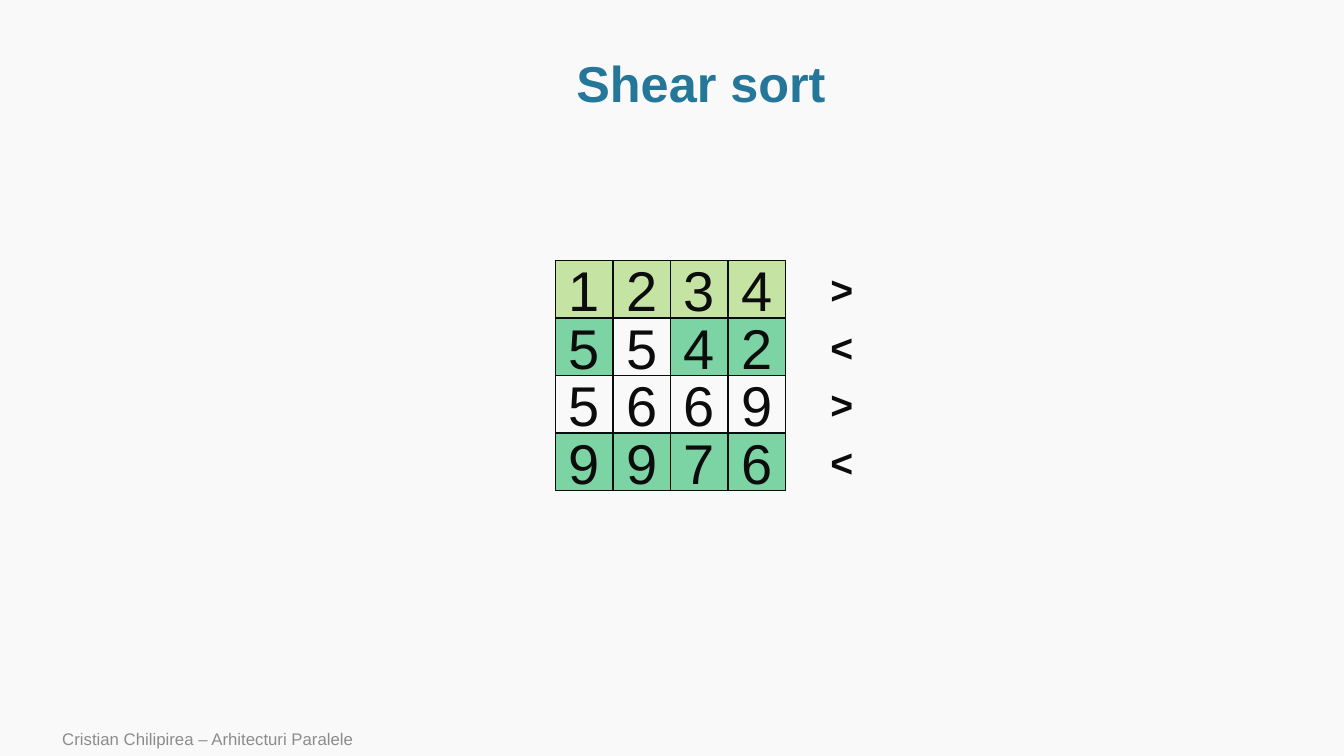
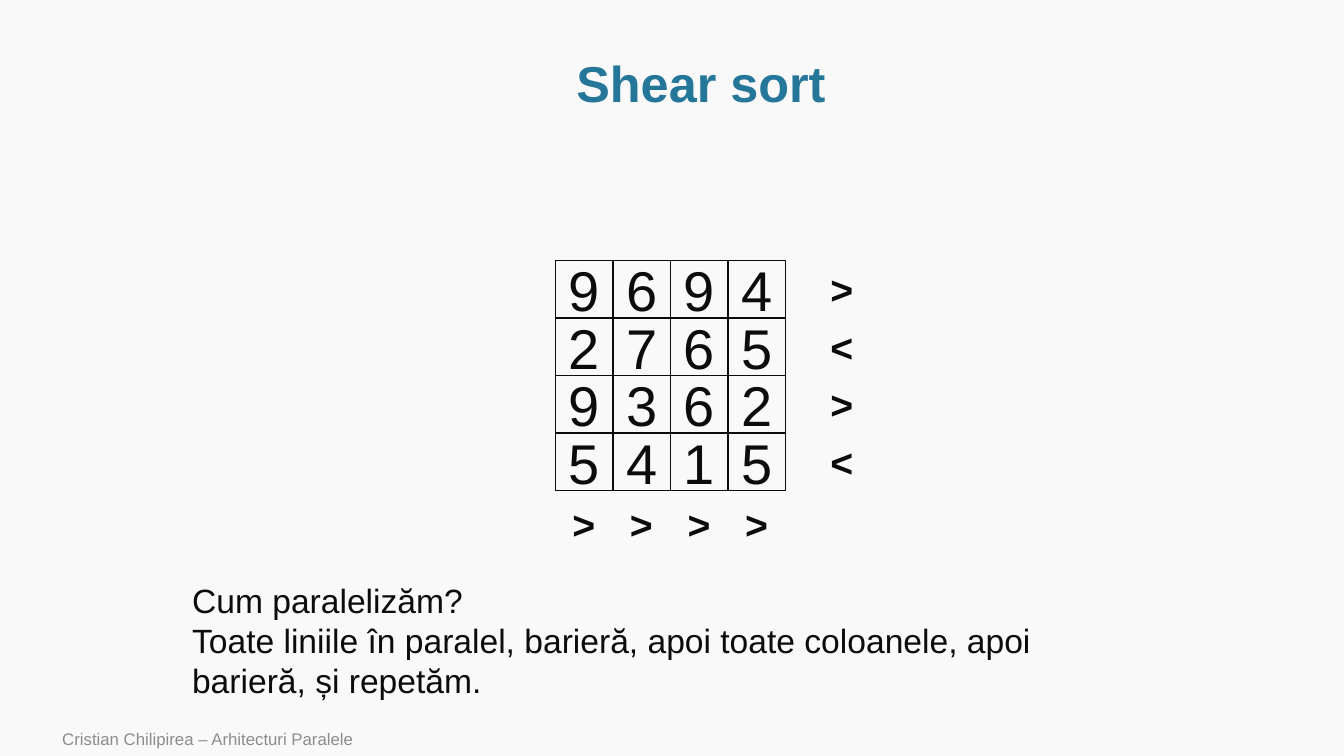
from dataclasses import dataclass

from lxml.etree import SubElement
from pptx import Presentation
from pptx.dml.color import RGBColor
from pptx.enum.shapes import MSO_SHAPE
from pptx.enum.text import MSO_ANCHOR, PP_ALIGN
from pptx.oxml.ns import qn
from pptx.slide import Slide
from pptx.text.text import TextFrame
from pptx.util import Pt

FONT = "Arial"
BACKGROUND = "F9F9F9"
INK = "0C0C0C"
TITLE_COLOR = "247798"
FOOTER_COLOR = "8C8C8C"
SHADES = {"L": "92D050", "D": "00B050"}

GRID_LEFT, GRID_TOP, CELL = 396.7, 186, 41.15
MARKER_WIDTH = 31
ROW_MARKERS_LEFT = 586.1
COLUMN_MARKERS_TOP = 354.2


@dataclass(frozen=True)
class Box:
    left: float
    top: float
    width: float
    height: float

    def lengths(self) -> tuple[Pt, Pt, Pt, Pt]:
        return Pt(self.left), Pt(self.top), Pt(self.width), Pt(self.height)


@dataclass(frozen=True)
class TextStyle:
    size: float
    color: str = INK
    bold: bool = False
    align: PP_ALIGN = PP_ALIGN.LEFT
    anchor: MSO_ANCHOR = MSO_ANCHOR.TOP
    line_spacing: float = 1.0


@dataclass(frozen=True)
class SortStep:
    """Matrix rows, a shade letter per cell ("." for none) and sort directions."""

    rows: tuple[str, ...]
    shades: tuple[str, ...]
    row_markers: str = "><><"
    column_markers: str = ""
    notes: tuple[str, ...] = ()


TITLE_STYLE = TextStyle(36, TITLE_COLOR, True, PP_ALIGN.CENTER, MSO_ANCHOR.MIDDLE, 0.9)
CELL_STYLE = TextStyle(40, align=PP_ALIGN.CENTER, anchor=MSO_ANCHOR.MIDDLE)
MARKER_STYLE = TextStyle(28, bold=True)
NOTES_STYLE = TextStyle(24)
FOOTER_STYLE = TextStyle(12, FOOTER_COLOR, anchor=MSO_ANCHOR.MIDDLE)

TITLE_BOX = Box(82.1, 36.7, 837.4, 49.7)
NOTES_BOX = Box(130.1, 410.5, 685.4, 94.3)
FOOTER_BOX = Box(37.4, 515.5, 604.8, 24.5)

STEPS = (
    SortStep(
        rows=("1234", "5542", "5669", "9976"),
        shades=("LLLL", "D.DD", "....", "DDDD"),
    ),
    SortStep(
        rows=("9694", "2765", "9362", "5415"),
        shades=("....",) * 4,
        column_markers=">>>>",
        notes=(
            "Cum paralelizăm?",
            "Toate liniile în paralel, barieră, apoi toate coloanele, apoi barieră, și repetăm.",
        ),
    ),
)


def rgb(color: str) -> RGBColor:
    return RGBColor.from_string(color)


def write(frame: TextFrame, lines: tuple[str, ...], style: TextStyle) -> None:
    frame.vertical_anchor = style.anchor
    for index, line in enumerate(lines):
        para = frame.add_paragraph() if index else frame.paragraphs[0]
        para.alignment = style.align
        para.line_spacing = style.line_spacing
        span = para.add_run()
        span.text = line
        span.font.name = FONT
        span.font.size = Pt(style.size)
        span.font.bold = style.bold
        span.font.color.rgb = rgb(style.color)


def add_text(page: Slide, box: Box, style: TextStyle, *lines: str, wrap: bool = True) -> None:
    frame = page.shapes.add_textbox(*box.lengths()).text_frame
    frame.word_wrap = wrap
    write(frame, lines, style)


def add_cell(page: Slide, box: Box, digit: str, shade: str) -> None:
    cell = page.shapes.add_shape(MSO_SHAPE.RECTANGLE, *box.lengths())
    cell.shadow.inherit = False
    if shade in SHADES:
        cell.fill.solid()
        cell.fill.fore_color.rgb = rgb(SHADES[shade])
        color = cell.element.spPr.find(qn("a:solidFill")).find(qn("a:srgbClr"))
        SubElement(color, qn("a:alpha"), val="50000")
    else:
        cell.fill.background()
    cell.line.color.rgb = rgb(INK)
    cell.line.width = Pt(1)
    write(cell.text_frame, (digit,), CELL_STYLE)


def add_matrix(page: Slide, step: SortStep) -> None:
    for row, (digits, shades) in enumerate(zip(step.rows, step.shades)):
        for column, (digit, shade) in enumerate(zip(digits, shades)):
            box = Box(GRID_LEFT + column * CELL, GRID_TOP + row * CELL, CELL, CELL)
            add_cell(page, box, digit, shade)


def add_markers(page: Slide, step: SortStep) -> None:
    first_left = GRID_LEFT + (CELL - MARKER_WIDTH) / 2
    boxes = [
        (marker, Box(ROW_MARKERS_LEFT, GRID_TOP + row * CELL, MARKER_WIDTH, CELL))
        for row, marker in enumerate(step.row_markers)
    ] + [
        (marker, Box(first_left + column * CELL, COLUMN_MARKERS_TOP, MARKER_WIDTH, CELL))
        for column, marker in enumerate(step.column_markers)
    ]
    for marker, box in boxes:
        add_text(page, box, MARKER_STYLE, marker, wrap=False)


def add_step_page(deck: Presentation, step: SortStep) -> None:
    page = deck.slides.add_slide(deck.slide_layouts[6])
    page.background.fill.solid()
    page.background.fill.fore_color.rgb = rgb(BACKGROUND)
    add_text(page, TITLE_BOX, TITLE_STYLE, "Shear sort")
    add_matrix(page, step)
    add_markers(page, step)
    if step.notes:
        add_text(page, NOTES_BOX, NOTES_STYLE, *step.notes)
    add_text(page, FOOTER_BOX, FOOTER_STYLE, "Cristian Chilipirea – Arhitecturi Paralele")


def main() -> None:
    deck = Presentation()
    deck.slide_width, deck.slide_height = Pt(960), Pt(540)
    for step in STEPS:
        add_step_page(deck, step)
    deck.save("out.pptx")


if __name__ == "__main__":
    main()
